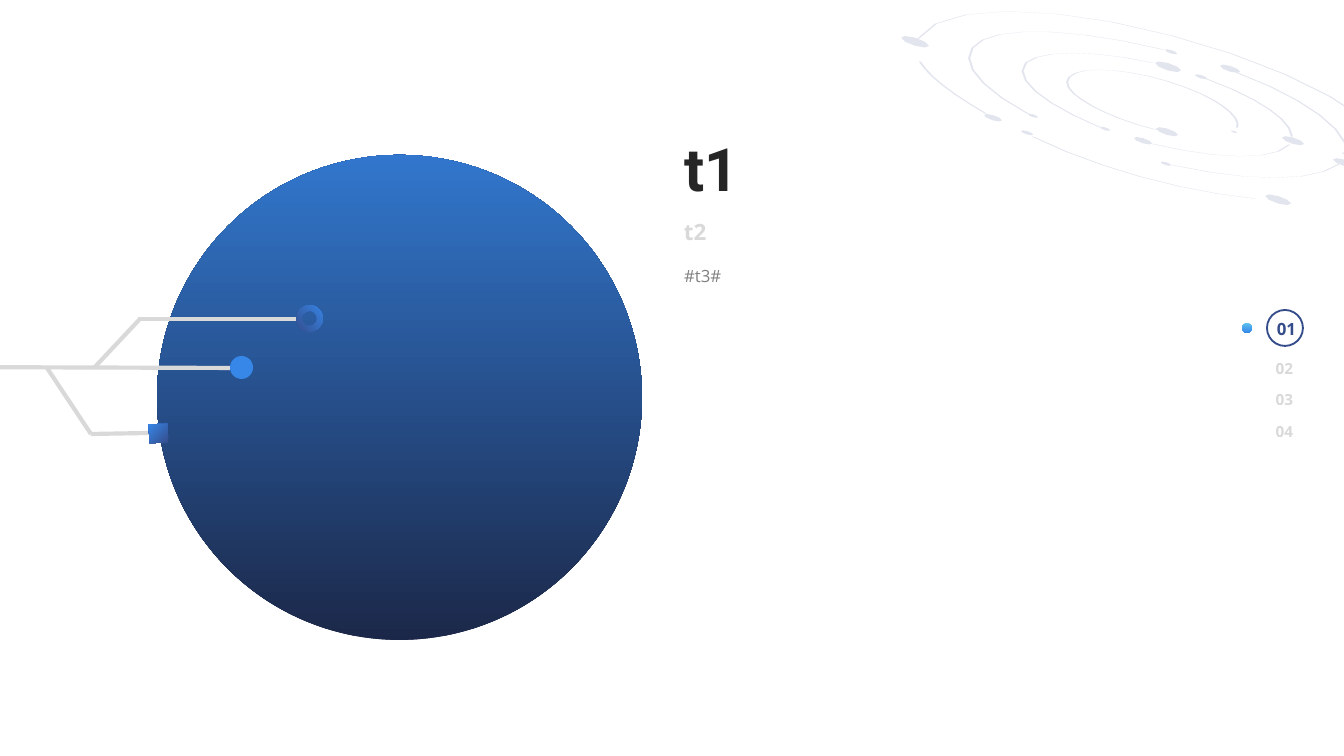
from math import cos, pi, radians, sin

from lxml import etree
from pptx import Presentation
from pptx.dml.color import RGBColor
from pptx.enum.shapes import MSO_CONNECTOR, MSO_SHAPE
from pptx.enum.text import MSO_ANCHOR, MSO_AUTO_SIZE, PP_ALIGN
from pptx.oxml.ns import qn
from pptx.util import Emu, Pt

OVAL, SQUARE, DONUT = MSO_SHAPE.OVAL, MSO_SHAPE.RECTANGLE, MSO_SHAPE.DONUT
STRAIGHT = MSO_CONNECTOR.STRAIGHT
LEFT, CENTER = PP_ALIGN.LEFT, PP_ALIGN.CENTER
TOP, BOTTOM = MSO_ANCHOR.TOP, MSO_ANCHOR.BOTTOM
GROW = MSO_AUTO_SIZE.SHAPE_TO_FIT_TEXT

EMU_PER_PX = 914400 / 134.4
NAVY, BLUE, SKY, MIDNIGHT = "354C8B", "3687E8", "5CC1EE", "1B2646"
INK, GRAY, PALE = "262626", "808080", "D9D9D9"
BODY_FONT, TITLE_FONT = "Open Sans", "Roboto"

GALAXY_CENTER, GALAXY_TILT = (1155, 106), 15
TRAIL_WIDTH = 2
PLANETS = [
    (915, 42, 14), (993, 118, 9), (1027, 133, 6), (1033, 116, 5), (1105, 129, 5),
    (1143, 141, 9), (1166, 164, 5), (1167, 132, 11), (1168, 67, 13), (1171, 52, 6),
    (1201, 77, 6), (1230, 69, 10), (1234, 132, 3), (1278, 200, 13), (1293, 141, 11),
    (1344, 163, 11), (1345, 154, 3), (1400, 170, 11),
]
TRAILS = [
    [(1257, 199), (1184, 192), (1097, 168), (1034, 137)],
    [(921, 62), (930, 77), (953, 94), (987, 114)],
    [(1172, 165), (1249, 182), (1314, 183), (1341, 164)],
    [(1238, 128), (1242, 120), (1228, 106), (1202, 94), (1169, 79), (1128, 70), (1099, 70),
     (1070, 70), (1060, 81), (1075, 94), (1089, 106), (1117, 120), (1157, 130)],
    [(1207, 79), (1262, 99), (1292, 121), (1293, 137)],
    [(1153, 144), (1220, 160), (1275, 161), (1290, 145)],
    [(1154, 63), (1093, 50), (1042, 50), (1027, 63), (1013, 78), (1042, 103), (1102, 128)],
    [(1238, 73), (1308, 99), (1351, 132), (1348, 155)],
    [(1165, 50), (1078, 29), (1012, 27), (984, 40), (956, 54), (970, 82), (1029, 114)],
    [(1400, 166), (1394, 122), (1298, 69), (1173, 36), (1050, 3), (941, 3), (919, 39)],
]
BRANCHES = [
    (-83, 367, 230, 368), (91, 434, 47, 368), (91, 434, 149, 433),
    (140, 319, 94, 368), (138, 319, 298, 319),
]


def px(length):
    """Turn pixels into EMU."""
    return Emu(round(length * EMU_PER_PX))


def rgb(color):
    """Turn a hex string into a colour."""
    return RGBColor.from_string(color)


def paint(fill, colors, angle=0, start=0):
    """Fill with one colour, or with a gradient between a pair of colours."""
    if isinstance(colors, str):
        fill.solid()
        fill.fore_color.rgb = rgb(colors)
        return
    fill.gradient()
    fill.gradient_angle = (360 - angle) % 360
    for stop, color, position in zip(fill.gradient_stops, colors, (start, 1)):
        stop.color.rgb = rgb(color)
        stop.position = position


def add_figure(slide, preset, box, colors, angle=0, start=0, rotation=0):
    """Add a borderless preset shape."""
    figure = slide.shapes.add_shape(preset, *map(px, box))
    figure.shadow.inherit = False
    figure.rotation = rotation
    figure.line.fill.background()
    paint(figure.fill, colors, angle, start)
    return figure


def add_ring(slide, box, color):
    """Add an unfilled circle with a thin outline."""
    ring = slide.shapes.add_shape(OVAL, *map(px, box))
    ring.shadow.inherit = False
    ring.fill.background()
    ring.line.color.rgb = rgb(color)
    ring.line.width = Pt(1)


def add_branch(slide, ends):
    """Add one straight line of the circuit."""
    branch = slide.shapes.add_connector(STRAIGHT, *map(px, ends))
    branch.line.color.rgb = rgb(PALE)
    branch.line.width = Pt(2.25)
    etree.SubElement(branch.element.spPr, qn("a:effectLst"))


def write(holder, text, size, colors, font=BODY_FONT, bold=True, align=LEFT,
          anchor=TOP, inset=13, spacing=1):
    """Format a text holder and give it one run."""
    frame = holder.text_frame
    frame.word_wrap = True
    frame.auto_size = GROW
    frame.vertical_anchor = anchor
    frame.margin_left = frame.margin_right = px(inset)
    frame.margin_top = frame.margin_bottom = px(7)
    paragraph = frame.paragraphs[0]
    paragraph.alignment = align
    paragraph.line_spacing = spacing
    run = paragraph.add_run()
    run.text = text
    run.font.name, run.font.size, run.font.bold = font, Pt(size), bold
    paint(run.font.fill, colors, 45)


def add_text(slide, box, *content, **style):
    """Add a text box."""
    write(slide.shapes.add_textbox(*map(px, box)), *content, **style)


def planet_outline(x, y, radius, steps=8):
    """Return the points of a flat, slanted ellipse."""
    turns = [2 * pi * step / steps for step in range(steps)]
    return [(x + radius * cos(turn), y + 0.29 * radius * (cos(turn) + sin(turn)))
            for turn in turns]


def trail_outline(knots, steps=6):
    """Return the points of a thin band along a chain of cubic curves."""
    edge = [knots[0]]
    for first in range(0, len(knots) - 1, 3):
        for step in range(1, steps + 1):
            t = step / steps
            weights = ((1 - t) ** 3, 3 * t * (1 - t) ** 2, 3 * t * t * (1 - t), t ** 3)
            curve = knots[first:first + 4]
            edge.append(tuple(sum(w * knot[axis] for w, knot in zip(weights, curve))
                              for axis in (0, 1)))
    return edge + [(x - TRAIL_WIDTH, y) for x, y in reversed(edge)]


def untilt(point):
    """Turn a point back by the tilt of the galaxy."""
    (cx, cy), angle = GALAXY_CENTER, radians(GALAXY_TILT)
    dx, dy = point[0] - cx, point[1] - cy
    return (px(cx + dx * cos(angle) + dy * sin(angle)),
            px(cy - dx * sin(angle) + dy * cos(angle)))


def add_galaxy(slide):
    """Add the tilted orbits with their planets as one outline."""
    outlines = [planet_outline(*planet) for planet in PLANETS]
    outlines += [trail_outline(trail) for trail in TRAILS]
    builder = None
    for outline in outlines:
        points = [untilt(point) for point in outline]
        if builder is None:
            builder = slide.shapes.build_freeform(*points[0])
        else:
            builder.move_to(*points[0])
        builder.add_line_segments(points[1:], close=True)
    galaxy = builder.convert_to_shape()
    galaxy.shadow.inherit = False
    galaxy.rotation = GALAXY_TILT
    galaxy.line.fill.background()
    paint(galaxy.fill, NAVY)
    tint = galaxy.element.spPr.find(qn("a:solidFill"))[0]
    etree.SubElement(tint, qn("a:alpha"), val="14000")


def add_page_index(slide):
    """Add the section numbers with the current one marked."""
    for number, top in (("02", 352), ("03", 383), ("04", 415)):
        add_text(slide, (1261, top, 47, 32), number, 8.2, PALE, align=CENTER, inset=4)
    add_text(slide, (1263, 312, 47, 34), "01", 9, (NAVY, BLUE), align=CENTER, inset=4)
    add_ring(slide, (1267, 310, 36, 36), NAVY)
    add_figure(slide, OVAL, (1242, 323, 10, 10), (SKY, BLUE), 90)


def add_circuit(slide):
    """Add the branching lines and their end nodes."""
    for ends in BRANCHES:
        add_branch(slide, ends)
    add_figure(slide, OVAL, (230, 356, 23, 23), BLUE)
    add_figure(slide, SQUARE, (149, 424, 19, 19), (NAVY, BLUE), 225, rotation=358)
    hub = add_figure(slide, DONUT, (296, 305, 27, 27), (NAVY, BLUE), 225, rotation=97)
    hub.adjustments[0] = 0.22


def main():
    """Build the slide and save it."""
    deck = Presentation()
    deck.slide_width, deck.slide_height = px(1344), px(756)
    slide = deck.slides.add_slide(deck.slide_layouts[5])
    add_figure(slide, OVAL, (157, 155, 485, 485), (MIDNIGHT, BLUE), 225, 0.13, 45)
    add_galaxy(slide)
    add_page_index(slide)
    title = slide.shapes.title
    title.left, title.top, title.width, title.height = map(px, (671, 125, 530, 86))
    write(title, "t1", 32, INK, font=TITLE_FONT, anchor=BOTTOM)
    add_text(slide, (671, 211, 530, 40), "t2", 12, PALE)
    add_text(slide, (671, 249, 560, 40), "#t3#", 9, GRAY, bold=False, spacing=1.5)
    add_circuit(slide)
    deck.save("out.pptx")


if __name__ == "__main__":
    main()
